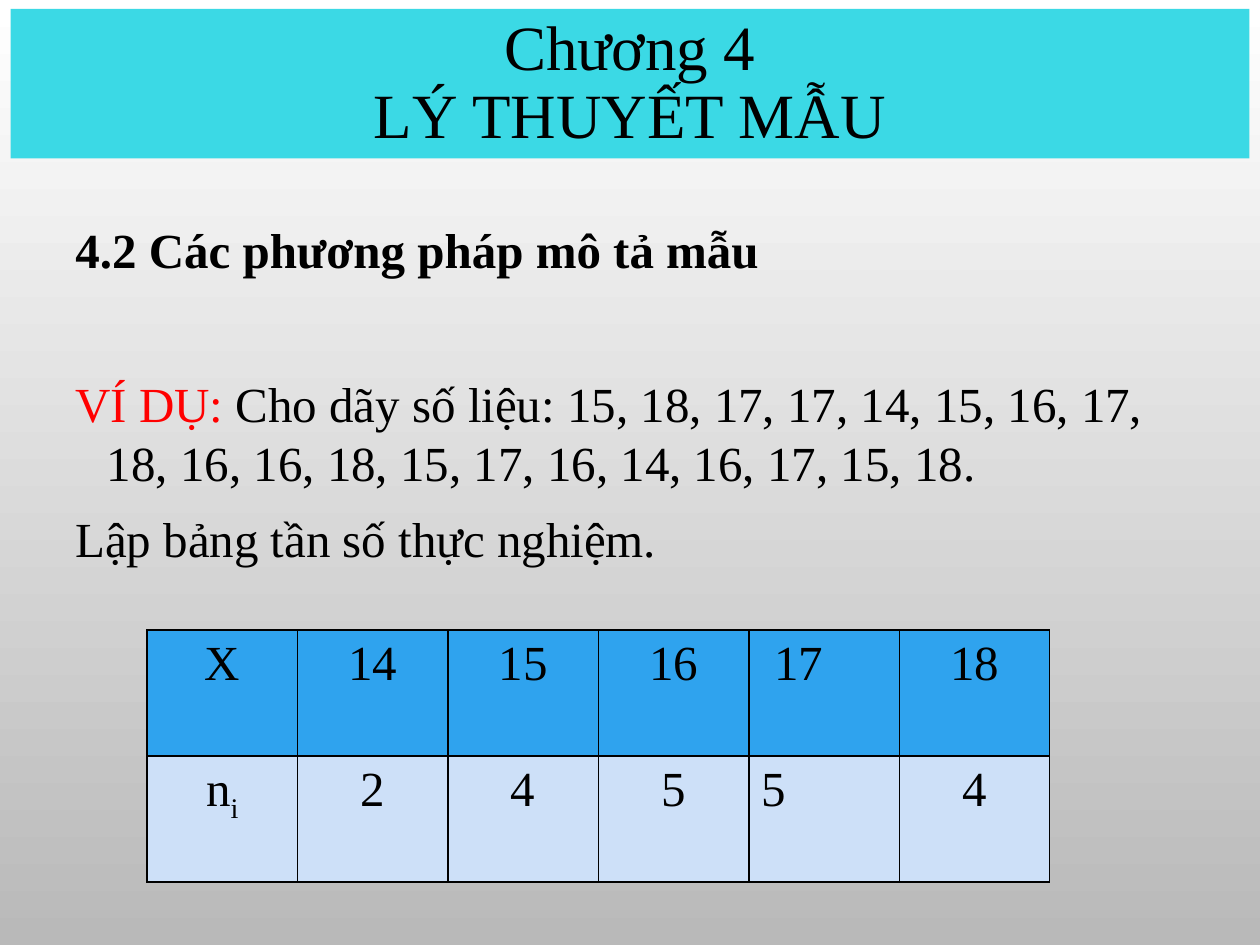
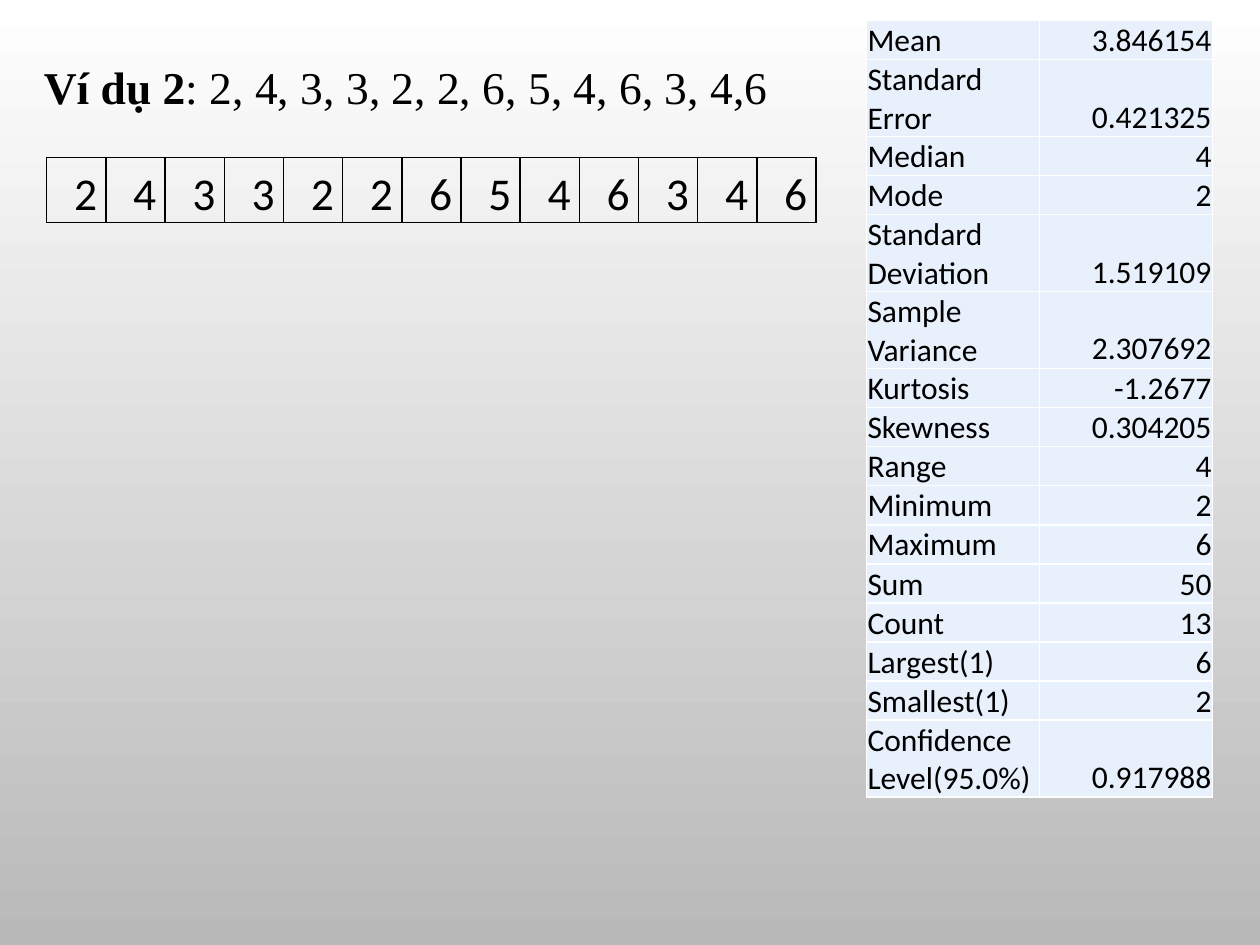
"""Build two slides on sample theory: a frequency table and descriptive statistics."""
from dataclasses import dataclass

from lxml import etree
from pptx import Presentation
from pptx.dml.color import RGBColor
from pptx.enum.text import MSO_ANCHOR, MSO_AUTO_SIZE, PP_ALIGN
from pptx.oxml.ns import qn
from pptx.util import Inches, Pt

LEFT, CENTER, RIGHT = PP_ALIGN.LEFT, PP_ALIGN.CENTER, PP_ALIGN.RIGHT
TOP, MIDDLE, BOTTOM = MSO_ANCHOR.TOP, MSO_ANCHOR.MIDDLE, MSO_ANCHOR.BOTTOM
NO_AUTOFIT = MSO_AUTO_SIZE.NONE
TITLE_ONLY, BLANK = 5, 6


@dataclass(frozen=True)
class Theme:
    """Colours, fonts and type sizes shared by the slides."""
    ink: str = "000000"
    accent: str = "FF0000"
    white: str = "FFFFFF"
    page_bottom: str = "B9B9B9"
    title_band: str = "3BD9E5"
    header_row: str = "2FA3EE"
    value_row: str = "CDE0F8"
    statistics: str = "E8F0FC"
    serif: str = "Times New Roman"
    sans: str = "Calibri"
    title_size: int = 36
    body_size: int = 28
    example_size: int = 26
    statistics_size: int = 18


THEME = Theme()
FREQUENCIES = {"14": "2", "15": "4", "16": "5", "17": "5", "18": "4"}
SAMPLE = "2 4 3 3 2 2 6 5 4 6 3 4 6".split()
STATISTICS = [
    ("Mean", "3.846154"), ("Standard Error", "0.421325"), ("Median", "4"),
    ("Mode", "2"), ("Standard Deviation", "1.519109"),
    ("Sample Variance", "2.307692"), ("Kurtosis", "-1.2677"),
    ("Skewness", "0.304205"), ("Range", "4"), ("Minimum", "2"),
    ("Maximum", "6"), ("Sum", "50"), ("Count", "13"), ("Largest(1)", "6"),
    ("Smallest(1)", "2"), ("Confidence Level(95.0%)", "0.917988"),
]


def grid(*units):
    """Convert units of a 120 by 90 slide grid to lengths."""
    return [Inches(unit / 12) for unit in units]


def style_span(span, size, font=THEME.serif, color=THEME.ink, bold=False):
    """Format one run."""
    span.font.name, span.font.size, span.font.bold = font, Pt(size), bold
    span.font.color.rgb = RGBColor.from_string(color)


def indent(para, left, first):
    """Set the left margin and first-line indent of a paragraph."""
    properties = para._p.get_or_add_pPr()
    properties.set("marL", str(Inches(left)))
    properties.set("indent", str(Inches(first)))


def paint_background(master):
    """Give every slide the vertical grey gradient."""
    fill = master.background.fill
    fill.gradient()
    fill.gradient_angle = 270
    for stop, color in zip(fill.gradient_stops, (THEME.white, THEME.page_bottom)):
        stop.color.rgb = RGBColor.from_string(color)


def set_title(page, text):
    """Format the title placeholder as a coloured band."""
    title = page.shapes.title
    title.left, title.top, title.width, title.height = grid(1, 0.85, 118, 14.25)
    title.fill.solid()
    title.fill.fore_color.rgb = RGBColor.from_string(THEME.title_band)
    frame = title.text_frame
    frame.text = text
    frame.auto_size, frame.vertical_anchor = NO_AUTOFIT, MIDDLE
    para = frame.paragraphs[0]
    para.alignment, para.line_spacing = CENTER, 0.9
    for span in para.runs:
        style_span(span, THEME.title_size)


def add_text(page, area, paragraphs, size, anchor=TOP):
    """Add a text box whose paragraphs are lists of (text, format) pairs."""
    frame = page.shapes.add_textbox(*grid(*area)).text_frame
    frame.word_wrap, frame.vertical_anchor = True, anchor
    for number, spans in enumerate(paragraphs):
        para = frame.add_paragraph() if number else frame.paragraphs[0]
        if number:
            para.space_before = Pt(10)
        for text, formats in spans:
            span = para.add_run()
            span.text = text
            style_span(span, size, **formats)
    return frame.paragraphs


def add_borders(cell, color):
    """Draw one-point lines around a cell."""
    properties = cell._tc.get_or_add_tcPr()
    for side in ("a:lnL", "a:lnR", "a:lnT", "a:lnB"):
        line = etree.SubElement(properties, qn(side), w=str(Pt(1)))
        fill = etree.SubElement(line, qn("a:solidFill"))
        etree.SubElement(fill, qn("a:srgbClr"), val=color)


def add_table(page, area, rows, size, font, border, fills, aligns,
              anchor=TOP, margins=None):
    """Add a table with a fill per row and an alignment per column."""
    shape = page.shapes.add_table(len(rows), len(rows[0]), *grid(*area))
    table = shape.table
    table.first_row = table.horz_banding = False
    for row, (values, fill) in enumerate(zip(rows, fills)):
        for column, (value, align) in enumerate(zip(values, aligns)):
            cell = table.cell(row, column)
            add_borders(cell, border)
            if fill:
                cell.fill.solid()
                cell.fill.fore_color.rgb = RGBColor.from_string(fill)
            else:
                cell.fill.background()
            cell.vertical_anchor = anchor
            if margins:
                (cell.margin_left, cell.margin_top, cell.margin_right,
                 cell.margin_bottom) = map(Inches, margins)
            para = cell.text_frame.paragraphs[0]
            para.text, para.alignment = value, align
            style_span(para.runs[0], size, font)
    return table


def build_frequency_page(deck):
    """Build the example with its frequency table."""
    page = deck.slides.add_slide(deck.slide_layouts[TITLE_ONLY])
    set_title(page, "Chương 4\vLÝ THUYẾT MẪU")
    heading, = add_text(page, (0, 18, 93, 8.6),
                        [[("4.2 Các phương pháp mô tả mẫu", {"bold": True})]],
                        THEME.body_size, MIDDLE)
    indent(heading, 0, 0.5)
    heading.line_spacing = 1.5
    example = add_text(page, (6, 35, 108, 21), [
        [("VÍ DỤ: ", {"color": THEME.accent}),
         ("Cho dãy số liệu: 15, 18, 17, 17, 14, 15, 16, 17, 18, 16, 16, 18, "
          "15, 17, 16, 14, 16, 17, 15, 18.", {})],
        [("Lập bảng tần số thực nghiệm.", {})],
    ], THEME.body_size)
    for para in example:
        indent(para, 0.25, -0.25)
    rows = [["X", *FREQUENCIES], ["n", *FREQUENCIES.values()]]
    table = add_table(page, (14, 60, 86, 24), rows, THEME.body_size, THEME.serif,
                      THEME.ink, (THEME.header_row, THEME.value_row),
                      [CENTER] * 4 + [LEFT, CENTER])
    table.cell(0, 4).margin_left = Inches(0.2)
    subscript = table.cell(1, 0).text_frame.paragraphs[0].add_run()
    subscript.text = "i"
    style_span(subscript, THEME.body_size)
    subscript._r.get_or_add_rPr().set("baseline", "-25000")


def build_statistics_page(deck):
    """Build the second example with its descriptive statistics."""
    page = deck.slides.add_slide(deck.slide_layouts[BLANK])
    add_text(page, (3, 5, 73.3, 6.5),
             [[("Ví dụ 2", {"bold": True}),
               (": 2, 4, 3, 3, 2, 2, 6, 5, 4, 6, 3, 4,6", {})]],
             THEME.example_size)
    sample = add_table(page, (4.45, 15, 73.3, 6.2), [SAMPLE], THEME.example_size,
                       THEME.sans, THEME.ink, [None], [RIGHT] * len(SAMPLE),
                       BOTTOM, (0.07, 0, 0.07, 0))
    for cell in sample.iter_cells():
        para = cell.text_frame.paragraphs[0]
        para.line_spacing, para.space_after = 1.15, Pt(10)
    statistics = add_table(page, (82.5, 1.95, 33, 73.2), STATISTICS,
                           THEME.statistics_size, THEME.sans, THEME.white,
                           [THEME.statistics] * len(STATISTICS), (LEFT, RIGHT),
                           BOTTOM, (0.01, 0.01, 0.01, 0))
    for row, (label, _) in zip(statistics.rows, STATISTICS):
        row.height, = grid(3.66 * len(label.split()))


def main():
    """Build and save the deck."""
    deck = Presentation()
    deck.slide_width, deck.slide_height = grid(120, 90)
    paint_background(deck.slide_master)
    build_frequency_page(deck)
    build_statistics_page(deck)
    deck.save("out.pptx")


if __name__ == "__main__":
    main()
